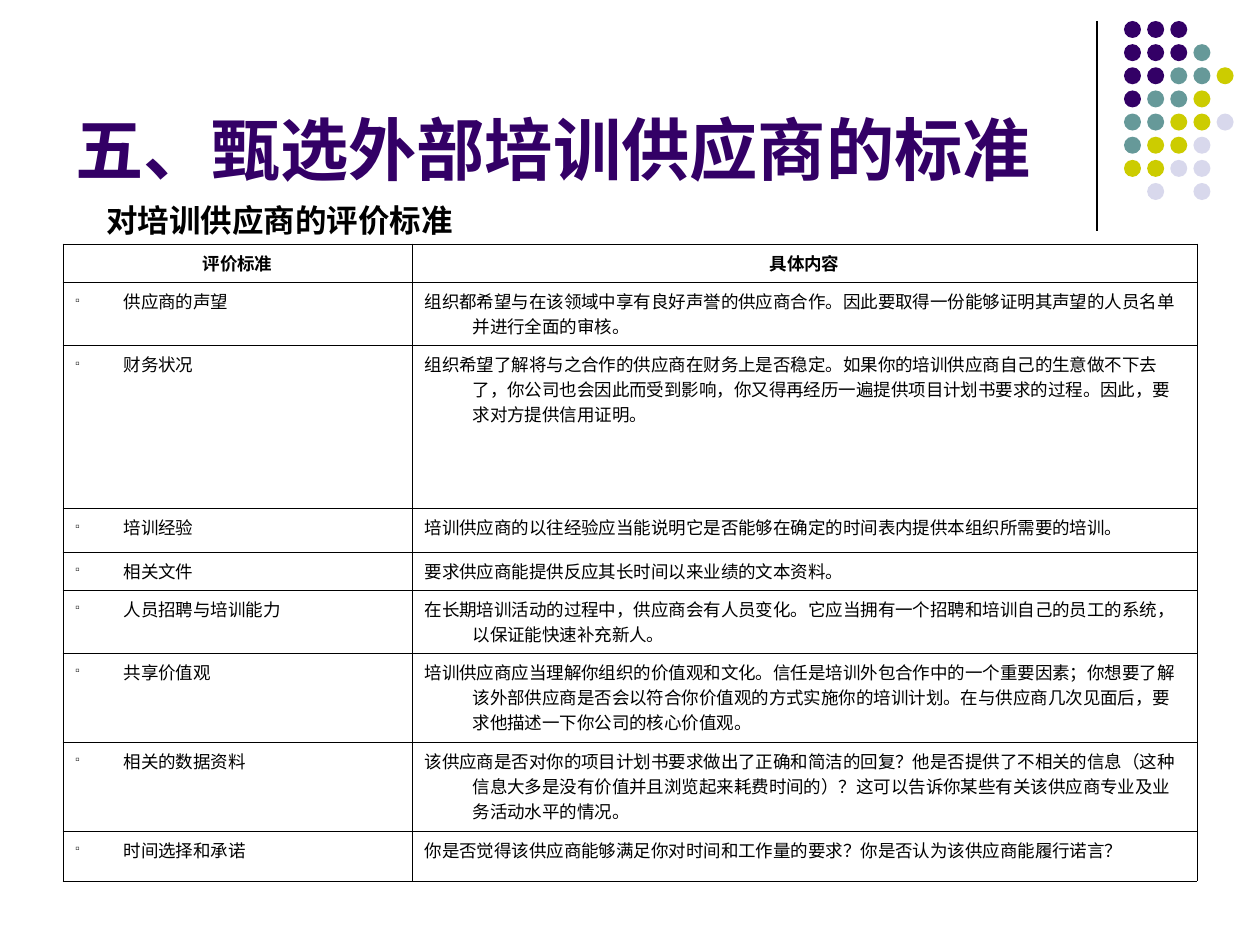
import lxml.etree
import pptx
import pptx.dml.color
import pptx.enum.shapes
import pptx.enum.text
import pptx.oxml.ns
import pptx.util

SCALE = 914400 / 126
COLORS = {
    "ink": "000000",
    "title": "330066",
    "P": "330066",
    "T": "669999",
    "Y": "CCCC00",
    "L": "D8D8EC",
}
DOTS = ["PPP", "PPPT", "PPTTY", "PTTY", "TTYYL", "TYYL", "YYLL", " L L"]
HEADER = ("评价标准", "具体内容")
CRITERIA = [
    ("供应商的声望", "组织都希望与在该领域中享有良好声誉的供应商合作。因此要取得一份能够证明其声望的人员名单并进行全面的审核。"),
    ("财务状况", "组织希望了解将与之合作的供应商在财务上是否稳定。如果你的培训供应商自己的生意做不下去了，你公司也会因此而受到影响，你又得再经历一遍提供项目计划书要求的过程。因此，要求对方提供信用证明。"),
    ("培训经验", "培训供应商的以往经验应当能说明它是否能够在确定的时间表内提供本组织所需要的培训。"),
    ("相关文件", "要求供应商能提供反应其长时间以来业绩的文本资料。"),
    ("人员招聘与培训能力", "在长期培训活动的过程中，供应商会有人员变化。它应当拥有一个招聘和培训自己的员工的系统，以保证能快速补充新人。"),
    ("共享价值观", "培训供应商应当理解你组织的价值观和文化。信任是培训外包合作中的一个重要因素；你想要了解该外部供应商是否会以符合你价值观的方式实施你的培训计划。在与供应商几次见面后，要求他描述一下你公司的核心价值观。"),
    ("相关的数据资料", "该供应商是否对你的项目计划书要求做出了正确和简洁的回复？他是否提供了不相关的信息（这种信息大多是没有价值并且浏览起来耗费时间的）？这可以告诉你某些有关该供应商专业及业务活动水平的情况。"),
    ("时间选择和承诺", "你是否觉得该供应商能够满足你对时间和工作量的要求？你是否认为该供应商能履行诺言？"),
]
COLUMN_WIDTHS = [349, 785]
ROW_HEIGHTS = [38, 63, 163, 44, 38, 63, 89, 89, 50]


def px(n):
    """Turn pixels into EMU."""
    return pptx.util.Emu(round(n * SCALE))


def rgb(name):
    """Look up a palette colour."""
    return pptx.dml.color.RGBColor.from_string(COLORS[name])


def add_xml(parent, tag, **attrs):
    """Append a DrawingML element."""
    el = lxml.etree.SubElement(parent, pptx.oxml.ns.qn(tag))
    for key, value in attrs.items():
        el.set(key, str(value))
    return el


def write(tf, text, size, font, color="ink", bold=False, align="LEFT", hang=0, bullet=None):
    """Write one formatted paragraph into a text frame."""
    tf.word_wrap = True
    p = tf.paragraphs[0]
    p.alignment = getattr(pptx.enum.text.PP_ALIGN, align)
    if hang:
        pPr = p._p.get_or_add_pPr()
        pPr.set("marL", str(px(hang)))
        pPr.set("indent", str(-px(hang)))
        pPr.set("hangingPunct", "0")
        if bullet:
            add_xml(add_xml(pPr, "a:buClr"), "a:srgbClr", val=COLORS["ink"])
            add_xml(pPr, "a:buSzPct", val=25000)
            add_xml(pPr, "a:buChar", char=bullet)
    r = p.add_run()
    r.text = text
    r.font.size = pptx.util.Pt(size)
    r.font.name = font
    r.font.bold = bold
    r.font.color.rgb = rgb(color)


def add_text(s, x, y, w, h, text, anchor="TOP", **fmt):
    """Add a text box with one paragraph."""
    tf = s.shapes.add_textbox(px(x), px(y), px(w), px(h)).text_frame
    tf.vertical_anchor = getattr(pptx.enum.text.MSO_ANCHOR, anchor)
    write(tf, text, **fmt)


def add_ornament(s, x, y, h):
    """Draw the vertical rule and the dot grid to its right."""
    rule = s.shapes.add_connector(
        pptx.enum.shapes.MSO_CONNECTOR.STRAIGHT, px(x), px(y), px(x), px(y + h))
    rule.line.color.rgb = rgb("ink")
    rule.line.width = pptx.util.Pt(0.75)
    add_xml(rule._element.spPr, "a:effectLst")
    pitch, size = 162 / 7, 17
    for i, row in enumerate(DOTS):
        for j, key in enumerate(row):
            if key == " ":
                continue
            sp = s.shapes.add_shape(
                pptx.enum.shapes.MSO_SHAPE.OVAL,
                px(x + 27 + j * pitch), px(y + i * pitch), px(size), px(size))
            sp.shadow.inherit = False
            sp.fill.solid()
            sp.fill.fore_color.rgb = rgb(key)
            sp.line.fill.background()


def add_borders(cell):
    """Give a cell thin borders on all sides and no fill."""
    tcPr = cell._tc.get_or_add_tcPr()
    for side in ("a:lnL", "a:lnR", "a:lnT", "a:lnB"):
        ln = add_xml(tcPr, side, w=pptx.util.Pt(0.45))
        add_xml(add_xml(ln, "a:solidFill"), "a:srgbClr", val=COLORS["ink"])
    cell.fill.background()


def add_criteria(s, x, y):
    """Build the table of criteria."""
    rows = [HEADER, *CRITERIA]
    table = s.shapes.add_table(
        len(rows), len(HEADER), px(x), px(y),
        px(sum(COLUMN_WIDTHS)), px(sum(ROW_HEIGHTS))).table
    table.first_row = table.horz_banding = False
    for column, w in zip(table.columns, COLUMN_WIDTHS):
        column.width = px(w)
    for i, (row, h) in enumerate(zip(rows, ROW_HEIGHTS)):
        table.rows[i].height = px(h)
        for j, text in enumerate(row):
            cell = table.cell(i, j)
            add_borders(cell)
            write(cell.text_frame, text, size=10, font="Times New Roman",
                  bold=i == 0, align="LEFT" if i else "CENTER", hang=48,
                  bullet="□" if i and j == 0 else None)


def main():
    """Build and save the slide."""
    prs = pptx.Presentation()
    prs.slide_width, prs.slide_height = px(1260), px(945)
    s = prs.slides.add_slide(prs.slide_layouts[6])
    add_ornament(s, 1097, 21, 210)
    add_text(s, 63, 16, 1040, 179, "五、甄选外部培训供应商的标准", anchor="BOTTOM",
             size=39, font="Arial", color="title", bold=True)
    add_criteria(s, 63, 244)
    add_text(s, 94, 195, 823, 50, "对培训供应商的评价标准",
             size=18, font="Arial", bold=True)
    prs.save("out.pptx")


if __name__ == "__main__":
    main()
